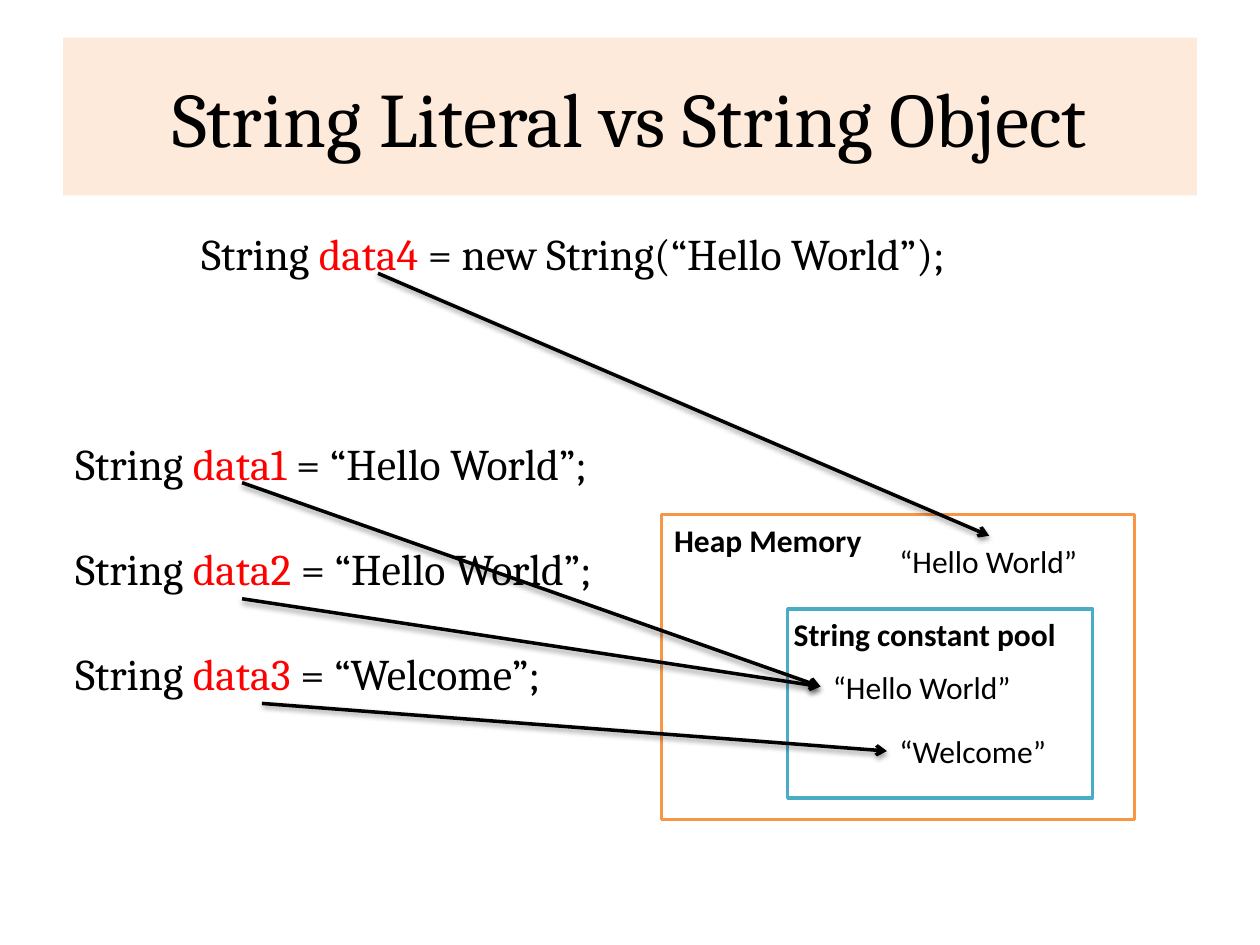
from lxml import etree
from pptx import Presentation
from pptx.dml.color import RGBColor
from pptx.enum.shapes import MSO_CONNECTOR, MSO_SHAPE
from pptx.enum.text import MSO_ANCHOR, MSO_AUTO_SIZE, PP_ALIGN
from pptx.oxml import parse_xml
from pptx.util import Cm, Pt

STRAIGHT = MSO_CONNECTOR.STRAIGHT
RECTANGLE = MSO_SHAPE.RECTANGLE
MIDDLE = MSO_ANCHOR.MIDDLE
GROW = MSO_AUTO_SIZE.SHAPE_TO_FIT_TEXT
CENTER = PP_ALIGN.CENTER
DRAWING_NS = "http://schemas.openxmlformats.org/drawingml/2006/main"
BLACK, RED, WHITE = "000000", "FF0000", "FFFFFF"
CODE_FONT = {"name": "Cambria", "size": Pt(25)}
LABEL_FONT = {"name": "Calibri", "size": Pt(18), "bold": False}
HEADING_FONT = {**LABEL_FONT, "bold": True}
SHADOW = (
    f'<a:effectLst xmlns:a="{DRAWING_NS}">'
    '<a:outerShdw blurRad="40000" dist="20000" dir="5400000" rotWithShape="0">'
    '<a:srgbClr val="000000"><a:alpha val="38000"/></a:srgbClr>'
    "</a:outerShdw></a:effectLst>"
)


def paint(color_format, hex_color):
    """Set a colour from a hex string."""
    color_format.rgb = RGBColor.from_string(hex_color)


def add_run(paragraph, text, font_values, color=BLACK):
    """Append a formatted run to a paragraph."""
    run = paragraph.add_run()
    run.text = text
    for attribute, value in font_values.items():
        setattr(run.font, attribute, value)
    paint(run.font.color, color)


def format_title(title, text):
    """Place and format the title band."""
    band = {"left": Cm(1.27), "top": Cm(0.76), "width": Cm(22.86), "height": Cm(3.18)}
    for attribute, value in band.items():
        setattr(title, attribute, value)
    title.fill.solid()
    paint(title.fill.fore_color, "FDEADA")
    title.text_frame.vertical_anchor = MIDDLE
    paragraph = title.text_frame.paragraphs[0]
    paragraph.alignment = CENTER
    add_run(paragraph, text, {"name": "Cambria", "size": Pt(44)})


def add_memory_area(slide, bounds, border):
    """Draw an outlined memory region."""
    area = slide.shapes.add_shape(RECTANGLE, *map(Cm, bounds))
    area.shadow.inherit = False
    area.fill.solid()
    paint(area.fill.fore_color, WHITE)
    paint(area.line.color, border)
    area.line.width = Pt(2)


def add_text_frame(slide, bounds, wrap):
    """Return the frame of a new text box that grows with its text."""
    frame = slide.shapes.add_textbox(*map(Cm, bounds)).text_frame
    frame.word_wrap = wrap
    frame.auto_size = GROW
    return frame


def add_label(slide, left, top, width, text, font_values):
    """Add a one-line memory label."""
    frame = add_text_frame(slide, (left, top, width, 1.03), False)
    add_run(frame.paragraphs[0], text, font_values)


def add_declarations(slide, bounds, declarations):
    """Add Java declarations with highlighted variable names."""
    frame = add_text_frame(slide, bounds, True)
    for index, (variable, value) in enumerate(declarations):
        statement = frame.add_paragraph() if index else frame.paragraphs[0]
        statement.space_before = Pt(30 if index else 0)
        add_run(statement, "String ", CODE_FONT)
        add_run(statement, variable, CODE_FONT, RED)
        add_run(statement, f" = {value};", CODE_FONT)


def add_reference(slide, start, end):
    """Draw a shadowed arrow from a variable to its value."""
    reference = slide.shapes.add_connector(STRAIGHT, *map(Cm, start + end))
    paint(reference.line.color, BLACK)
    reference.line.width = Pt(2)
    outline = reference.line._get_or_add_ln()
    etree.SubElement(outline, f"{{{DRAWING_NS}}}tailEnd", type="arrow")
    reference._element.spPr.append(parse_xml(SHADOW))


def main():
    """Build and save the slide."""
    deck = Presentation()
    deck.slide_width, deck.slide_height = Cm(25.4), Cm(19.05)
    slide = deck.slides.add_slide(deck.slide_layouts[5])
    format_title(slide.shapes.title, "String Literal vs String Object")

    add_memory_area(slide, (13.34, 10.37, 9.53, 6.15), "F79646")
    add_memory_area(slide, (15.88, 12.28, 6.15, 3.81), "4BACC6")

    for label in (
        (15.75, 12.28, 5.84, "String constant pool", HEADING_FONT),
        (13.34, 10.37, 4.42, "Heap Memory", HEADING_FONT),
        (16.54, 13.34, 4.14, "“Hello World”", LABEL_FONT),
        (17.88, 10.8, 4.14, "“Hello World”", LABEL_FONT),
        (17.88, 14.63, 3.51, "“Welcome”", LABEL_FONT),
    ):
        add_label(slide, *label)

    literals = (
        ("data1", "“Hello World”"),
        ("data2", "“Hello World”"),
        ("data3", "“Welcome”"),
    )
    add_declarations(slide, (1.27, 8.69, 11.43, 5.59), literals)
    string_object = (("data4", "new String(“Hello World”)"),)
    add_declarations(slide, (3.81, 4.45, 18.62, 1.32), string_object)

    pooled_hello = (16.54, 13.84)
    for start, end in (
        ((4.88, 9.73), pooled_hello),
        ((4.88, 12.07), pooled_hello),
        ((5.28, 14.18), (17.88, 15.14)),
        ((7.62, 5.51), (19.94, 10.8)),
    ):
        add_reference(slide, start, end)

    deck.save("out.pptx")


main()
